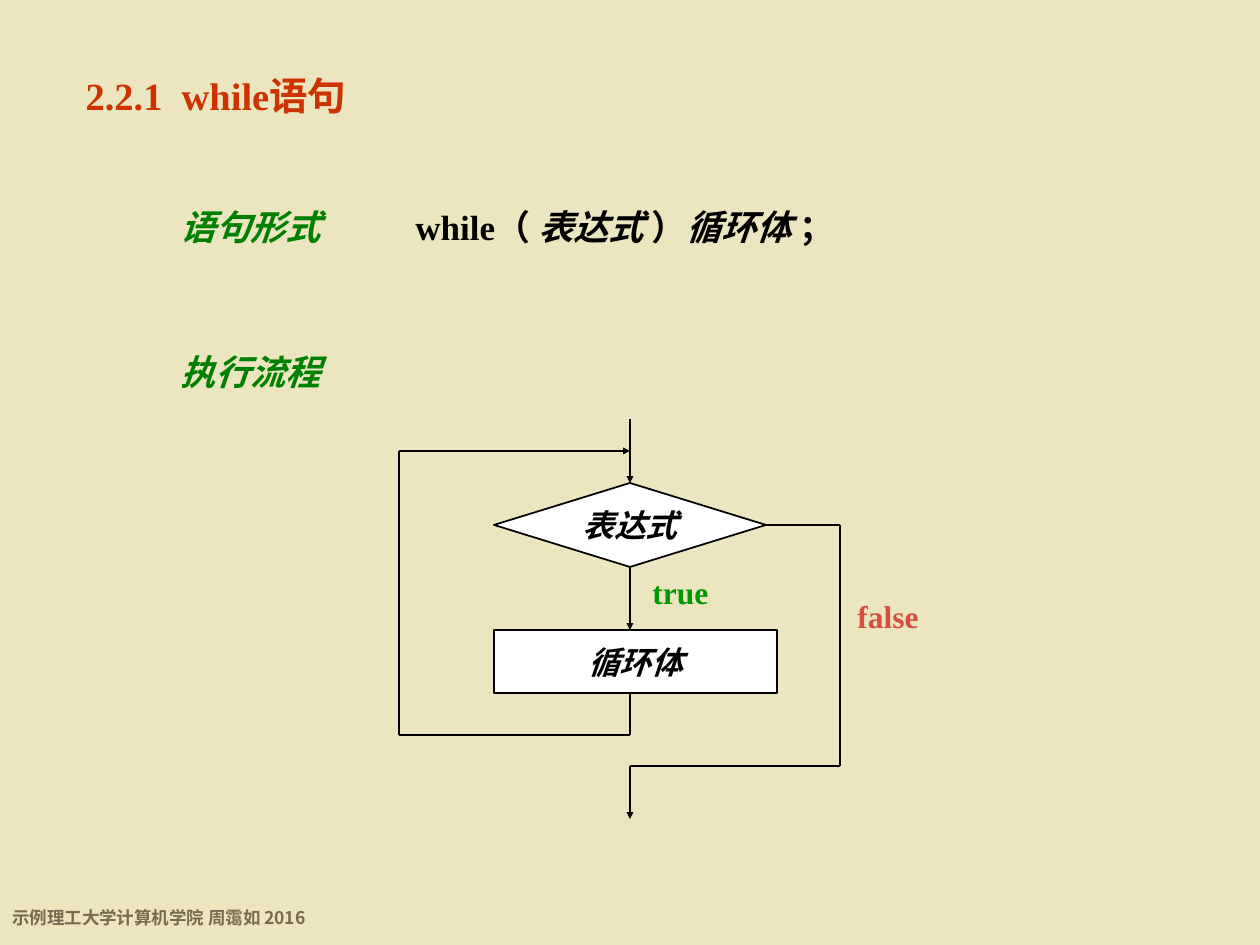
from lxml import etree
from pptx import Presentation
from pptx.dml.color import RGBColor
from pptx.enum.shapes import MSO_CONNECTOR, MSO_SHAPE
from pptx.enum.text import MSO_ANCHOR, MSO_AUTO_SIZE, PP_ALIGN
from pptx.oxml.ns import qn
from pptx.util import Pt

PX = 914400 // 126
LATIN_FONT = "Times New Roman"
CJK_FONT = "Noto Sans CJK SC"
COLORS = {
    "background": "ECE6C0",
    "title": "CC3300",
    "heading": "008000",
    "ink": "000000",
    "node": "FFFFFF",
    "true": "009900",
    "false": "D54F41",
    "footer": "786950",
}
STRAIGHT = MSO_CONNECTOR.STRAIGHT
DECISION = MSO_SHAPE.FLOWCHART_DECISION
PROCESS = MSO_SHAPE.FLOWCHART_PROCESS
MIDDLE = MSO_ANCHOR.MIDDLE
FIXED_SIZE = MSO_AUTO_SIZE.NONE
LEFT = PP_ALIGN.LEFT
CENTER = PP_ALIGN.CENTER
TOP_SITE, BOTTOM_SITE, RIGHT_SITE = 0, 2, 3


def px(*lengths):
    return [length * PX for length in lengths]


def color(name):
    return RGBColor.from_string(COLORS[name])


def style_run(run, size, color_name, italic=False, font=LATIN_FONT):
    run.font.name = font
    run.font.size = Pt(size)
    run.font.bold = True
    run.font.italic = italic
    run.font.color.rgb = color(color_name)
    east_asian = etree.SubElement(run.font._element, qn("a:ea"))
    east_asian.set("typeface", CJK_FONT)


def add_label(slide, box, pieces, size, color_name, font=LATIN_FONT, wrap=False):
    label = slide.shapes.add_textbox(*px(*box))
    label.text_frame.word_wrap = wrap
    paragraph = label.text_frame.paragraphs[0]
    for text, italic in pieces:
        run = paragraph.add_run()
        run.text = text
        style_run(run, size, color_name, italic, font)
    return paragraph


def add_title(slide, box, text):
    title = slide.shapes.title
    title.left, title.top, title.width, title.height = px(*box)
    frame = title.text_frame
    frame.text = text
    frame.auto_size = FIXED_SIZE
    frame.vertical_anchor = MIDDLE
    frame.paragraphs[0].alignment = LEFT
    style_run(frame.paragraphs[0].runs[0], 22, "title")


def add_node(slide, kind, box, text):
    node = slide.shapes.add_shape(kind, *px(*box))
    node.shadow.inherit = False
    node.fill.solid()
    node.fill.fore_color.rgb = color("node")
    node.line.color.rgb = color("ink")
    node.line.width = Pt(1)
    frame = node.text_frame
    frame.text = text
    frame.word_wrap = False
    frame.vertical_anchor = MIDDLE
    frame.paragraphs[0].alignment = CENTER
    style_run(frame.paragraphs[0].runs[0], 18, "ink", italic=True)
    return node


def add_line(slide, start, end, arrow=False):
    line = slide.shapes.add_connector(STRAIGHT, *px(*start, *end))
    line.line.color.rgb = color("ink")
    line.line.width = Pt(1)
    properties = line._element.spPr
    etree.SubElement(properties, qn("a:effectLst"))
    if arrow:
        outline = properties.find(qn("a:ln"))
        etree.SubElement(outline, qn("a:tailEnd"), type="triangle", w="sm", len="sm")
    return line


def add_route(slide, points):
    lines = []
    for start, end in zip(points, points[1:]):
        lines.append(add_line(slide, start, end, arrow=end == points[-1]))
    return lines


def add_flowchart(slide):
    condition = add_node(slide, DECISION, (494, 483, 272, 84), "表达式")
    add_node(slide, PROCESS, (494, 630, 283, 63), "循环体")

    entry = add_line(slide, (630, 419), (630, 483), arrow=True)
    entry.end_connect(condition, TOP_SITE)
    true_branch = add_line(slide, (630, 567), (630, 630), arrow=True)
    true_branch.begin_connect(condition, BOTTOM_SITE)

    add_route(slide, [(630, 693), (630, 735), (399, 735), (399, 451), (630, 451)])
    false_branch = add_route(
        slide, [(766, 525), (840, 525), (840, 766), (630, 766), (630, 819)]
    )
    false_branch[0].begin_connect(condition, RIGHT_SITE)

    add_label(slide, (640, 567, 81, 50), [("true", False)], 18, "true")
    add_label(slide, (845, 591, 86, 50), [("false", False)], 18, "false")


def main():
    presentation = Presentation()
    presentation.slide_width, presentation.slide_height = px(1260, 945)
    slide = presentation.slides.add_slide(presentation.slide_layouts[5])
    slide.background.fill.solid()
    slide.background.fill.fore_color.rgb = color("background")

    footer = add_label(
        slide, (0, 892, 326, 43), [("示例理工大学计算机学院 周霭如 2016", False)],
        10, "footer", font=CJK_FONT,
    )
    footer.line_spacing = 1.4

    add_title(slide, (73, 53, 609, 84), "2.2.1  while语句")
    for top, heading in ((199, "语句形式"), (344, "执行流程")):
        add_label(slide, (168, top, 174, 54), [(heading, True)], 20, "heading")
    statement = [
        ("while（ ", False),
        ("表达式", True),
        (" ）", False),
        ("循环体", True),
        (" ；", False),
    ]
    add_label(slide, (403, 199, 464, 54), statement, 20, "ink", wrap=True)
    add_flowchart(slide)
    presentation.save("out.pptx")


if __name__ == "__main__":
    main()
